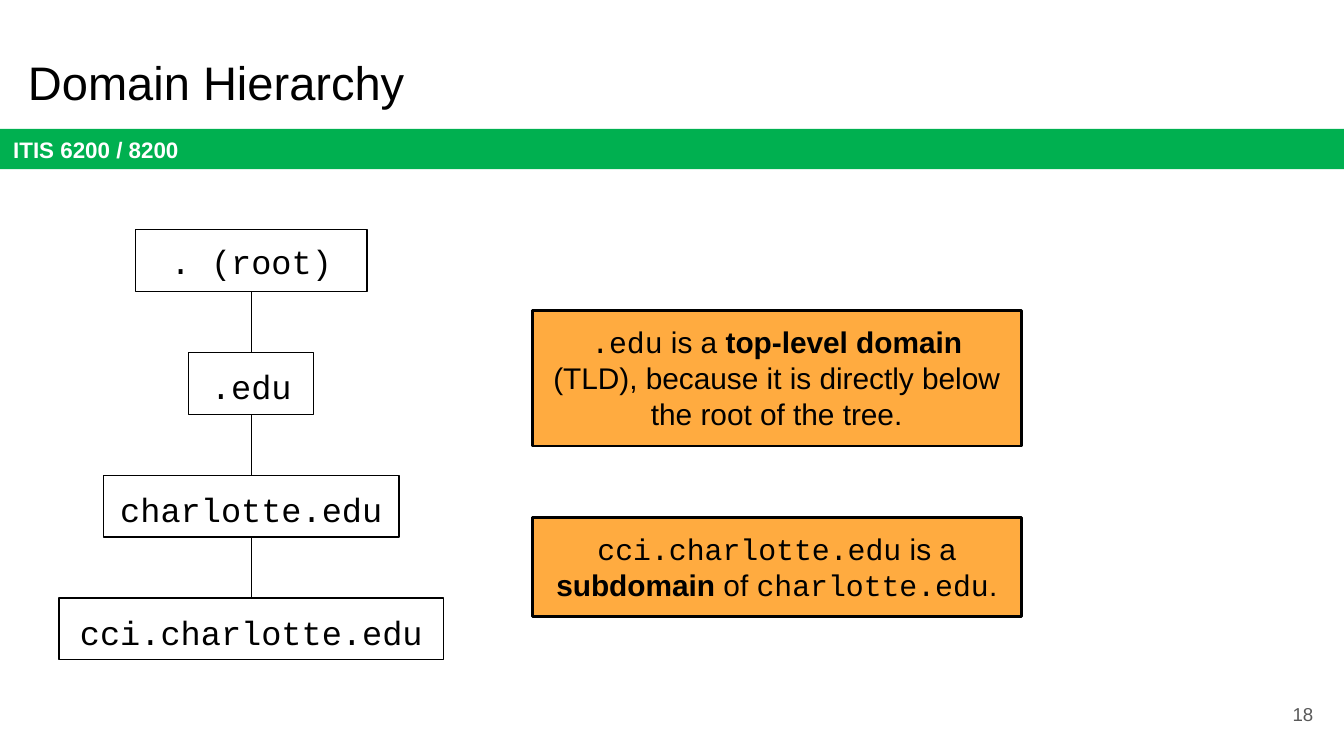
from pptx import Presentation
from pptx.dml.color import RGBColor
from pptx.enum.shapes import MSO_CONNECTOR, MSO_SHAPE
from pptx.enum.text import MSO_ANCHOR, MSO_AUTO_SIZE, PP_ALIGN
from pptx.oxml.ns import qn
from pptx.util import Inches, Pt
from lxml.etree import SubElement

SANS = "Arial"
MONO = "Courier New"
BLACK = "000000"


def color(hex_value):
    return RGBColor.from_string(hex_value)


def write(shape, runs, size, ink=BLACK, align=PP_ALIGN.LEFT, anchor=MSO_ANCHOR.TOP):
    frame = shape.text_frame
    frame.word_wrap = True
    frame.vertical_anchor = anchor
    frame.margin_left = frame.margin_right = Inches(0.1)
    frame.margin_top = frame.margin_bottom = Inches(0.1)
    paragraph = frame.paragraphs[0]
    paragraph.alignment = align
    for words, font_name, bold in runs:
        run = paragraph.add_run()
        run.text = words
        run.font.name = font_name
        run.font.size = Pt(size)
        run.font.bold = bold
        run.font.color.rgb = color(ink)


def add_label(slide, box, words, size, ink=BLACK, **layout):
    label = slide.shapes.add_textbox(*map(Inches, box))
    write(label, [(words, SANS, False)], size, ink, **layout)


def add_panel(slide, box, fill=None, border=None):
    panel = slide.shapes.add_shape(MSO_SHAPE.RECTANGLE, *map(Inches, box))
    panel.shadow.inherit = False
    if fill:
        panel.fill.solid()
        panel.fill.fore_color.rgb = color(fill)
    else:
        panel.fill.background()
    if border:
        panel.line.color.rgb = color(BLACK)
        panel.line.width = Pt(border)
    else:
        panel.line.fill.background()
    return panel


def add_header(slide, box):
    left, top, width, height = box
    banner = add_panel(slide, (left, top + height - 0.3, width, 0.3), "00B050")
    write(banner, [("ITIS 6200 / 8200", SANS, True)], 12, "FFFFFF", anchor=MSO_ANCHOR.MIDDLE)
    add_label(slide, (left + 0.11, top + 0.3, 9.32, 0.63), "Domain Hierarchy", 25.2)


def add_branch(slide, x, start, end):
    branch = slide.shapes.add_connector(
        MSO_CONNECTOR.STRAIGHT, Inches(x), Inches(start), Inches(x), Inches(end))
    branch.line.color.rgb = color(BLACK)
    branch.line.width = Pt(0.75)
    SubElement(branch._element.spPr, qn("a:effectLst"))


def add_domain_chain(slide, box):
    left, top, width, height = box
    domains = [(". (root)", 1.72), (".edu", 0.93), ("charlotte.edu", 2.2), ("cci.charlotte.edu", width)]
    node_height = 0.46
    step = (height - node_height) / (len(domains) - 1)
    center = left + width / 2
    for level, (domain, node_width) in enumerate(domains):
        node_top = top + level * step
        node = add_panel(
            slide, (center - node_width / 2, node_top, node_width, node_height), border=0.75)
        anchor = MSO_ANCHOR.TOP if level else MSO_ANCHOR.MIDDLE
        write(node, [(domain, MONO, False)], 18, align=PP_ALIGN.CENTER, anchor=anchor)
        if level:
            add_branch(slide, center, node_top - step + node_height, node_top)


def add_definition(slide, box, runs):
    definition = add_panel(slide, box, "FFAB40", 1.5)
    write(definition, runs, 16, align=PP_ALIGN.CENTER)
    definition.text_frame.auto_size = MSO_AUTO_SIZE.SHAPE_TO_FIT_TEXT


def add_definitions(slide, box):
    left, top, width, height = box
    add_definition(slide, (left, top + height - 0.74, width, 0.74), [
        ("cci.charlotte.edu", MONO, False),
        (" is a ", SANS, False),
        ("subdomain", SANS, True),
        (" of ", SANS, False),
        ("charlotte.edu", MONO, False),
        (".", SANS, False),
    ])
    add_definition(slide, (left, top, width, 1.01), [
        (".edu", MONO, False),
        (" is a ", SANS, False),
        ("top-level domain", SANS, True),
        (" (TLD), because it is directly below the root of the tree.", SANS, False),
    ])


def main():
    deck = Presentation()
    deck.slide_width = Inches(10)
    deck.slide_height = deck.slide_width * 9 // 16
    slide = deck.slides.add_slide(deck.slide_layouts[6])
    add_header(slide, (0, 0, 10, 1.26))
    add_domain_chain(slide, (0.44, 1.71, 2.86, 3.2))
    add_definitions(slide, (3.96, 2.31, 3.64, 2.28))
    add_label(slide, (9.27, 5.1, 0.6, 0.43), "18", 10, "595959",
              align=PP_ALIGN.RIGHT, anchor=MSO_ANCHOR.MIDDLE)
    deck.save("out.pptx")


if __name__ == "__main__":
    main()
